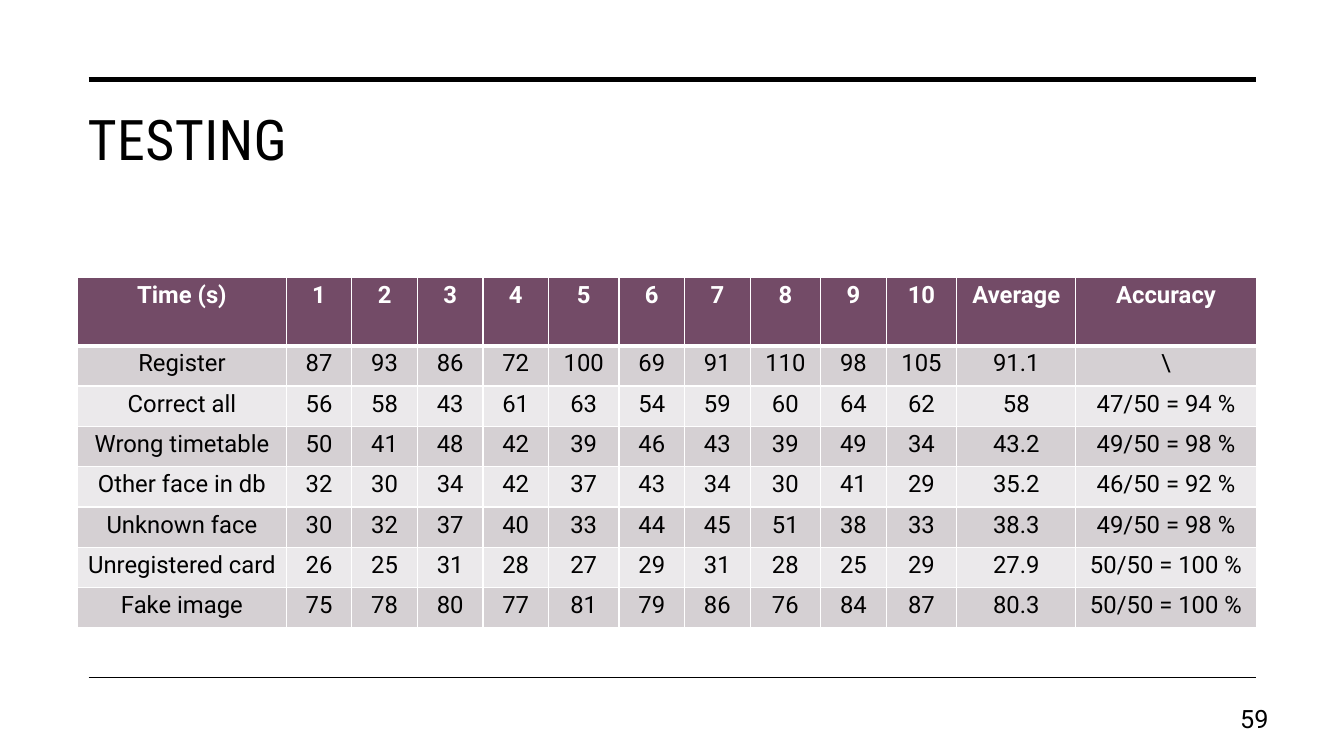
from lxml import etree
from pptx import Presentation
from pptx.dml.color import RGBColor
from pptx.enum.shapes import MSO_CONNECTOR
from pptx.enum.text import MSO_ANCHOR, MSO_AUTO_SIZE, PP_ALIGN
from pptx.oxml.ns import qn
from pptx.util import Inches, Pt

TITLE = "TESTING"
PAGE = "59"
HEADER = ("Time (s)", *range(1, 11), "Average", "Accuracy")
RESULTS = [
    ("Register", 87, 93, 86, 72, 100, 69, 91, 110, 98, 105, 91.1, "\\"),
    ("Correct all", 56, 58, 43, 61, 63, 54, 59, 60, 64, 62, 58, "47/50 = 94 %"),
    ("Wrong timetable", 50, 41, 48, 42, 39, 46, 43, 39, 49, 34, 43.2, "49/50 = 98 %"),
    ("Other face in db", 32, 30, 34, 42, 37, 43, 34, 30, 41, 29, 35.2, "46/50 = 92 %"),
    ("Unknown face", 30, 32, 37, 40, 33, 44, 45, 51, 38, 33, 38.3, "49/50 = 98 %"),
    ("Unregistered card", 26, 25, 31, 28, 27, 29, 31, 28, 25, 29, 27.9, "50/50 = 100 %"),
    ("Fake image", 75, 78, 80, 77, 81, 79, 86, 76, 84, 87, 80.3, "50/50 = 100 %"),
]

BLACK = RGBColor(0, 0, 0)
WHITE = RGBColor(0xFF, 0xFF, 0xFF)
PLUM = RGBColor(0x73, 0x4B, 0x67)
BANDS = (RGBColor(0xD5, 0xD0, 0xD3), RGBColor(0xEB, 0xE9, 0xEB))
BODY_FONT, TITLE_FONT = "Roboto", "Roboto Condensed"

WIDTH, HEIGHT = 13.33, 7.5
LEFT, CONTENT_W = 0.77, 11.69
RULE_LEFT, RULE_RIGHT = 0.88, 12.46
RULES = ((0.79, 3.5), (6.72, 1))
TABLE_TOP, HEADER_H, ROW_H = 2.75, 0.68, 0.4
NARROW, WIDE = 0.65, 0.7
COLUMNS = [2.07] + [WIDE if n in (5, 8, 10) else NARROW for n in range(1, 11)] + [1.18, 1.79]


def add_run(p, text, size, color, font=BODY_FONT, bold=False):
    r = p.add_run()
    r.text = str(text)
    r.font.name, r.font.size, r.font.bold = font, Pt(size), bold
    r.font.color.rgb = color
    return r


def add_rule(slide, y, weight):
    line = slide.shapes.add_connector(
        MSO_CONNECTOR.STRAIGHT, Inches(RULE_LEFT), Inches(y), Inches(RULE_RIGHT), Inches(y))
    line.line.color.rgb = BLACK
    line.line.width = Pt(weight)
    etree.SubElement(line._element.spPr, qn("a:effectLst"))


def set_borders(cell, top, bottom):
    tc_pr = cell._tc.get_or_add_tcPr()
    edges = (("a:lnL", 1), ("a:lnR", 1), ("a:lnT", top), ("a:lnB", bottom))
    for i, (tag, weight) in enumerate(edges):
        ln = etree.Element(qn(tag), w=str(Pt(weight)))
        fill = etree.SubElement(ln, qn("a:solidFill"))
        etree.SubElement(fill, qn("a:srgbClr"), val=str(WHITE))
        tc_pr.insert(i, ln)


def add_results(slide):
    rows = [HEADER] + RESULTS
    table = slide.shapes.add_table(
        len(rows), len(COLUMNS), Inches(LEFT), Inches(TABLE_TOP),
        Inches(CONTENT_W), Inches(HEADER_H + ROW_H * len(RESULTS))).table
    for column, width in zip(table.columns, COLUMNS):
        column.width = Inches(width)
    for i, values in enumerate(rows):
        is_header = i == 0
        table.rows[i].height = Inches(HEADER_H if is_header else ROW_H)
        for cell, value in zip(table.rows[i].cells, values):
            cell.margin_left = cell.margin_right = Inches(0.08)
            cell.margin_top = cell.margin_bottom = Inches(0.04)
            cell.fill.solid()
            cell.fill.fore_color.rgb = PLUM if is_header else BANDS[(i - 1) % 2]
            set_borders(cell, 3 if i == 1 else 1, 3 if is_header else 1)
            p = cell.text_frame.paragraphs[0]
            p.alignment = PP_ALIGN.CENTER
            add_run(p, value, 17, WHITE if is_header else BLACK, bold=is_header)


def main():
    prs = Presentation()
    prs.slide_width, prs.slide_height = Inches(WIDTH), Inches(HEIGHT)
    slide = prs.slides.add_slide(prs.slide_layouts[5])

    title = slide.shapes.title
    title.left, title.top = Inches(LEFT), Inches(0.99)
    title.width, title.height = Inches(CONTENT_W), Inches(1.26)
    tf = title.text_frame
    tf.auto_size = MSO_AUTO_SIZE.NONE
    tf.vertical_anchor = MSO_ANCHOR.TOP
    tf.paragraphs[0].alignment = PP_ALIGN.LEFT
    r = add_run(tf.paragraphs[0], TITLE, 40, BLACK, TITLE_FONT)
    r.font._element.set("spc", "30")

    for y, weight in RULES:
        add_rule(slide, y, weight)

    number = slide.shapes.add_textbox(Inches(11.94), Inches(6.95), Inches(0.74), Inches(0.4))
    tf = number.text_frame
    tf.word_wrap = True
    tf.vertical_anchor = MSO_ANCHOR.MIDDLE
    p = tf.paragraphs[0]
    p.alignment, p.line_spacing, p.space_after = PP_ALIGN.RIGHT, 0.9, Pt(6)
    add_run(p, PAGE, 18, BLACK)

    add_results(slide)
    prs.save("out.pptx")


if __name__ == "__main__":
    main()
